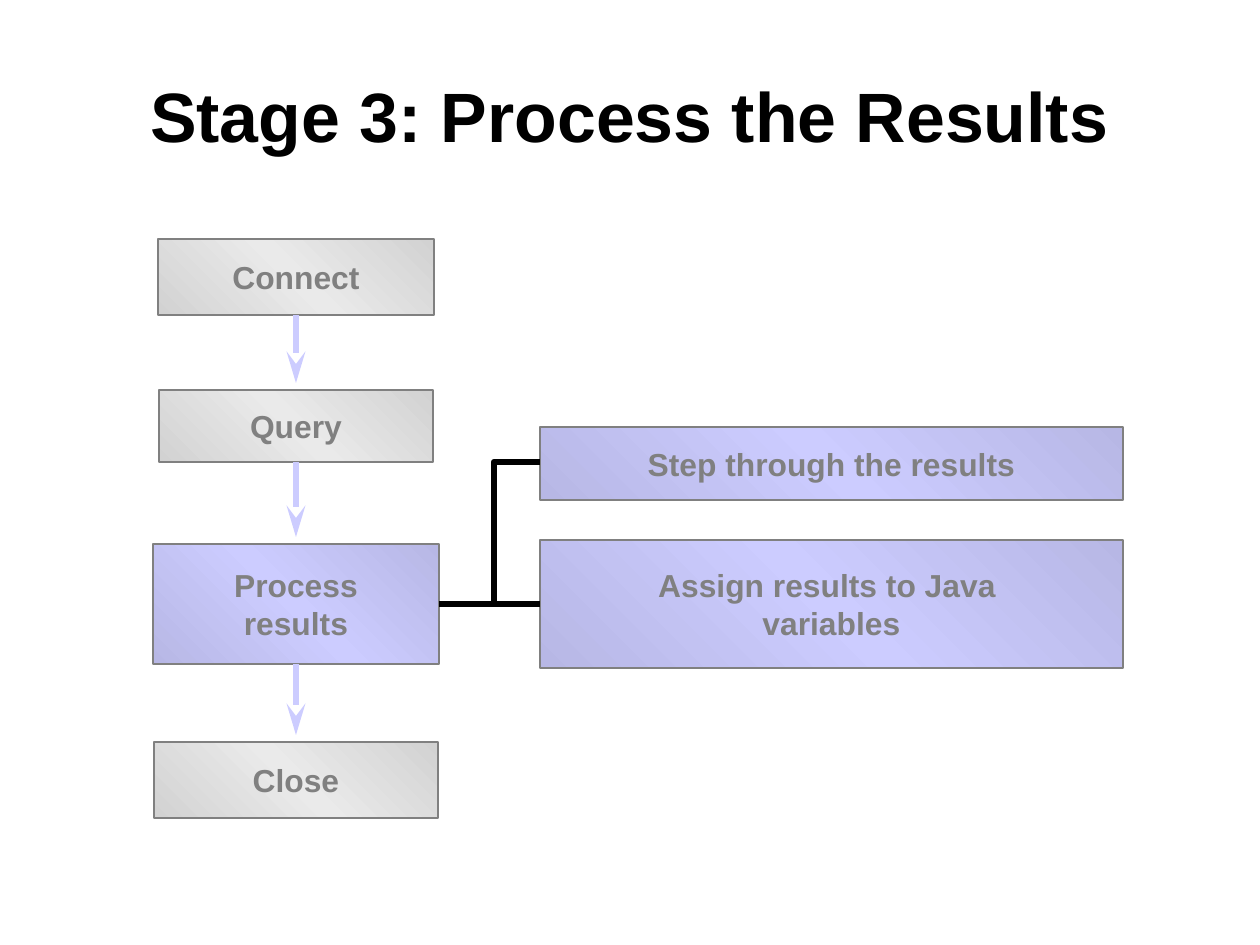
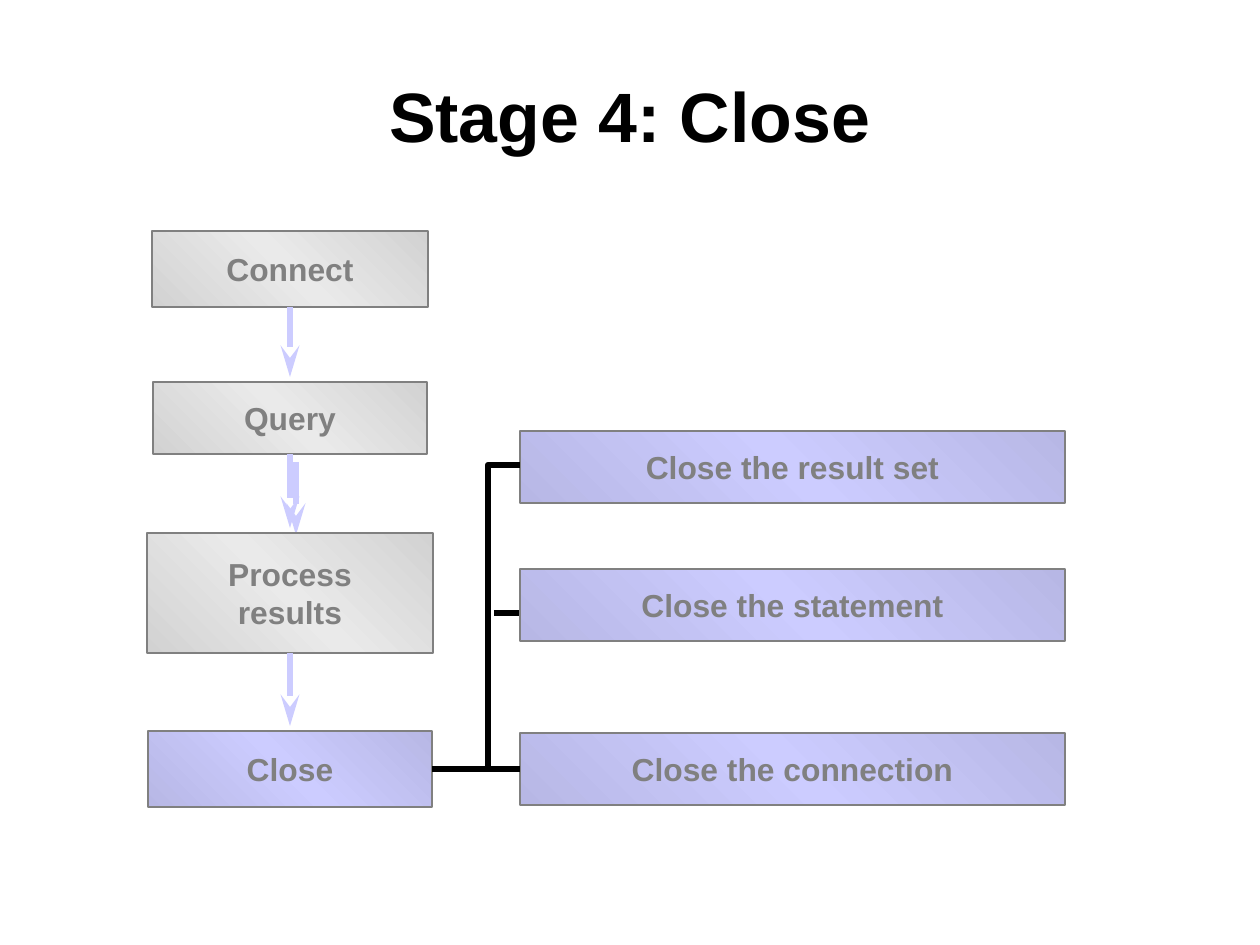
from copy import deepcopy

from pptx import Presentation
from pptx.dml.color import RGBColor
from pptx.enum.shapes import MSO_CONNECTOR, MSO_SHAPE
from pptx.enum.text import MSO_ANCHOR, PP_ALIGN
from pptx.oxml.ns import qn
from pptx.oxml.xmlchemy import OxmlElement
from pptx.util import Pt

PX = 8000  # EMU per px
RECT = MSO_SHAPE.RECTANGLE
STRAIGHT = MSO_CONNECTOR.STRAIGHT
CENTER = PP_ALIGN.CENTER
TOP, MIDDLE = MSO_ANCHOR.TOP, MSO_ANCHOR.MIDDLE
BOTTOM_SIDE, LEFT_SIDE, RIGHT_SIDE = 2, 1, 3

FONT = "Arial"
BLACK, GRAY, LILAC = "000000", "808080", "CCCCFF"
IDLE_SHADES = ("D2D2D2", "EAEAEA", "D2D2D2")
ACTIVE_SHADES = ("B7B7E5", LILAC, "B7B7E5")

# Stage text, width, height: the same column on both slides
STAGES = [
    ("Connect", 276, 76),
    ("Query", 274, 72),
    ("Process\nresults", 286, 120),
    ("Close", 284, 76),
]

SLIDES = [
    {
        "title": "Stage 3: Process the Results",
        "center": 296, "tops": (239, 390, 544, 742), "active": 2, "arrow_gap": 7,
        "detail_left": 540, "detail_width": 583,
        "details": [("Step through the results", 427, 73),
                    ("Assign results to Java \nvariables", 540, 128)],
        "bracket": (494, 462),
        "loose_lines": [],
    },
    {
        "title": "Stage 4: Close",
        "center": 290, "tops": (231, 382, 533, 731), "active": 3, "arrow_gap": 5,
        "detail_left": 520, "detail_width": 545,
        "details": [("Close the result set", 431, 72),
                    ("Close the statement", 569, 72),
                    ("Close the connection", 733, 72)],
        "bracket": (488, 465),
        "loose_lines": [(296, 462, 296, 535, LILAC, True),
                        (494, 613, 520, 613, BLACK, False)],
    },
]


def rgb(value):
    return RGBColor.from_string(value)


def write(shape, text, size=20, color=GRAY, anchor=MIDDLE, wrap=False, spacing=None):
    frame = shape.text_frame
    frame.word_wrap = wrap
    frame.vertical_anchor = anchor
    frame.margin_left = frame.margin_right = 13 * PX
    frame.margin_top = frame.margin_bottom = 7 * PX
    paragraph = frame.paragraphs[0]
    paragraph.text = text
    paragraph.alignment = CENTER
    paragraph.line_spacing = spacing
    for run in paragraph.runs:
        run.font.name = FONT
        run.font.size = Pt(size)
        run.font.bold = True
        run.font.color.rgb = rgb(color)


prs = Presentation()
prs.slide_width, prs.slide_height = 1260 * PX, 945 * PX

for content in SLIDES:
    slide = prs.slides.add_slide(prs.slide_layouts[6])
    shapes = slide.shapes

    # Title
    title = shapes.add_textbox(127 * PX, 73 * PX, 1006 * PX, 142 * PX)
    write(title, content["title"], size=44, color=BLACK, anchor=TOP, wrap=True,
          spacing=0.93)

    # Lines that belong to no box lie behind the boxes
    lines = []
    for x1, y1, x2, y2, color, has_head in content["loose_lines"]:
        loose = shapes.add_connector(STRAIGHT, x1 * PX, y1 * PX, x2 * PX, y2 * PX)
        lines.append((loose, color, has_head))

    # Stage column, then the steps of the active stage
    center, tops = content["center"], content["tops"]
    plan = [(text, center - width // 2, top, width, height,
             ACTIVE_SHADES if index == content["active"] else IDLE_SHADES)
            for index, ((text, width, height), top) in enumerate(zip(STAGES, tops))]
    plan += [(text, content["detail_left"], top, content["detail_width"], height,
              ACTIVE_SHADES) for text, top, height in content["details"]]

    boxes = []
    for text, left, top, width, height, shades in plan:
        box = shapes.add_shape(RECT, left * PX, top * PX, width * PX, height * PX)
        box.shadow.inherit = False
        box.line.color.rgb = rgb(GRAY)
        box.line.width = Pt(1)
        box.fill.gradient()
        box.fill.gradient_angle = 45
        stop_list = box._element.spPr.find(".//" + qn("a:gsLst"))
        stop_list.append(deepcopy(stop_list[0]))
        for stop, position, shade in zip(box.fill.gradient_stops, (0, 0.5, 1), shades):
            stop.position = position
            stop.color.rgb = rgb(shade)
        write(box, text)
        boxes.append(box)

    # Arrows from each stage towards the next
    for stage, next_top in zip(boxes, tops[1:]):
        arrow = shapes.add_connector(STRAIGHT, center * PX, stage.top + stage.height,
                                     center * PX, (next_top - content["arrow_gap"]) * PX)
        arrow.begin_connect(stage, BOTTOM_SIDE)
        lines.append((arrow, LILAC, True))

    # Trunk from the active stage to its last step
    active, last_step = boxes[content["active"]], boxes[-1]
    trunk_y = active.top + active.height // 2
    trunk = shapes.add_connector(STRAIGHT, active.left + active.width, trunk_y,
                                 last_step.left, trunk_y)
    trunk.begin_connect(active, RIGHT_SIDE)
    trunk.end_connect(last_step, LEFT_SIDE)
    lines.append((trunk, BLACK, False))

    # Bracket from the trunk up to the first step
    bracket_x, bracket_y = (value * PX for value in content["bracket"])
    outline = shapes.build_freeform(bracket_x, trunk_y)
    outline.add_line_segments([(bracket_x, bracket_y), (last_step.left, bracket_y)],
                              close=False)
    bracket = outline.convert_to_shape()
    bracket.fill.background()
    lines.append((bracket, BLACK, False))

    # Line style
    for line, color, has_head in lines:
        line.line.color.rgb = rgb(color)
        line.line.width = Pt(4)
        if has_head:
            head = OxmlElement("a:tailEnd")
            for key, value in (("type", "stealth"), ("w", "med"), ("len", "lg")):
                head.set(key, value)
            line.line._get_or_add_ln().append(head)
        line._element.spPr.append(OxmlElement("a:effectLst"))

prs.save("out.pptx")
